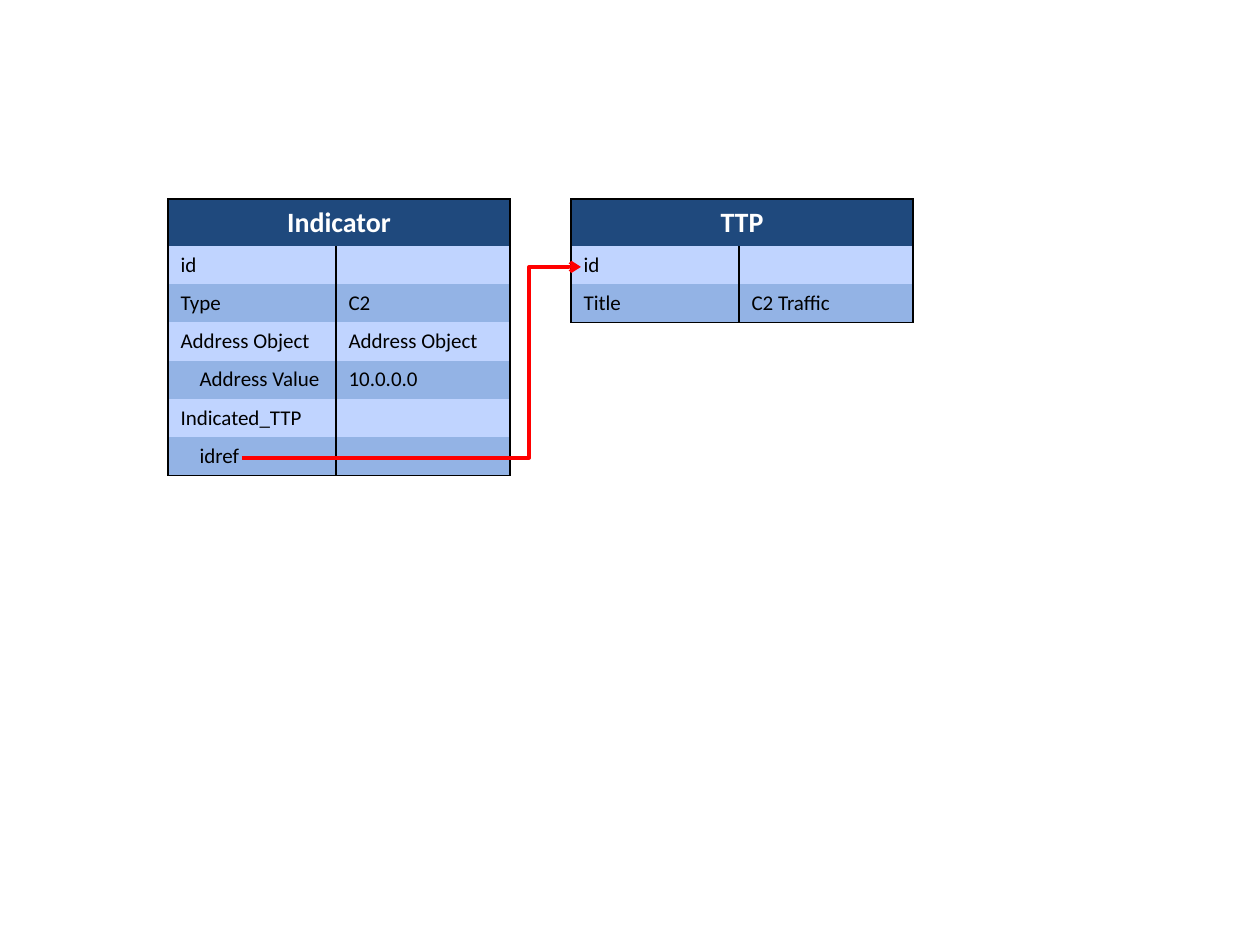
from lxml.etree import SubElement
from pptx import Presentation
from pptx.dml.color import RGBColor
from pptx.enum.shapes import MSO_CONNECTOR as CONNECTOR
from pptx.enum.text import PP_ALIGN as ALIGN
from pptx.oxml.ns import qn
from pptx.util import Emu, Pt

PX_PER_INCH = 126
HEADER_HEIGHT, ROW_HEIGHT = 47, 38
COLUMN_WIDTHS = (168, 174)
INDENT = 19
TABLE_TOP = 199
NAVY, LIGHT_BLUE, MID_BLUE = "1F497D", "C0D4FF", "93B3E5"
BLACK, WHITE, RED = "000000", "FFFFFF", "FF0000"

INDICATOR_ROWS = [
    ("id", "", 0),
    ("Type", "C2", 0),
    ("Address Object", "Address Object", 0),
    ("Address Value", "10.0.0.0", 1),
    ("Indicated_TTP", "", 0),
    ("idref", "", 1),
]
TTP_ROWS = [("id", "", 0), ("Title", "C2 Traffic", 0)]


def px(length):
    return Emu(round(length * 914400 / PX_PER_INCH))


def color(value):
    return RGBColor.from_string(value)


def write(frame, text, size=12, ink=BLACK, bold=False, align=ALIGN.LEFT, level=0):
    paragraph = frame.paragraphs[0]
    paragraph.alignment = align
    if level:
        paragraph._p.get_or_add_pPr().set("marL", str(px(INDENT * level)))
    font = paragraph.font
    if text:
        run = paragraph.add_run()
        run.text = text
        font = run.font
    font.name = "Calibri"
    font.size = Pt(size)
    font.bold = bold
    font.color.rgb = color(ink)


def style_cell(cell, fill, sides):
    """Fill the cell and rule only the named sides (letters of LRTB)."""
    properties = cell._tc.get_or_add_tcPr()
    for side in "LRTB":
        border = SubElement(properties, qn(f"a:ln{side}"), w=str(Pt(1)))
        if side in sides:
            solid = SubElement(border, qn("a:solidFill"))
            SubElement(solid, qn("a:srgbClr"), val=BLACK)
        else:
            SubElement(border, qn("a:noFill"))
    cell.fill.solid()
    cell.fill.fore_color.rgb = color(fill)


def add_entity(slide, left, title, rows):
    """Add a titled table of field names and values."""
    height = HEADER_HEIGHT + ROW_HEIGHT * len(rows)
    table = slide.shapes.add_table(
        len(rows) + 1, 2, px(left), px(TABLE_TOP), px(sum(COLUMN_WIDTHS)), px(height)
    ).table
    table.first_row = table.horz_banding = False
    for column, width in zip(table.columns, COLUMN_WIDTHS):
        column.width = px(width)
    for row in table.rows:
        row.height = px(ROW_HEIGHT)
    table.rows[0].height = px(HEADER_HEIGHT)

    header = table.cell(0, 0)
    header.merge(table.cell(0, 1))
    write(header.text_frame, title, size=16, ink=WHITE, bold=True, align=ALIGN.CENTER)
    for column in range(2):
        style_cell(table.cell(0, column), NAVY, "LRT")

    for index, (name, value, level) in enumerate(rows, start=1):
        fill = LIGHT_BLUE if index % 2 else MID_BLUE
        sides = "LRB" if index == len(rows) else "LR"
        for column, (text, depth) in enumerate([(name, level), (value, 0)]):
            cell = table.cell(index, column)
            write(cell.text_frame, text, level=depth)
            style_cell(cell, fill, sides)


def add_reference(slide, start, end, bend_x):
    """Add an elbow arrow that turns at bend_x."""
    arrow = slide.shapes.add_connector(CONNECTOR.ELBOW, *map(px, start + end))
    arrow.line.color.rgb = color(RED)
    arrow.line.width = Pt(2)
    SubElement(arrow.line._get_or_add_ln(), qn("a:tailEnd"), type="arrow")
    properties = arrow._element.spPr
    SubElement(properties, qn("a:effectLst"))
    bend = round((bend_x - start[0]) / (end[0] - start[0]) * 100000)
    adjustments = properties.find(qn("a:prstGeom")).get_or_add_avLst()
    SubElement(adjustments, qn("a:gd"), name="adj1", fmla=f"val {bend}")


def main():
    deck = Presentation()
    deck.slide_width, deck.slide_height = px(1260), px(945)
    slide = deck.slides.add_slide(deck.slide_layouts[6])
    add_entity(slide, 168, "Indicator", INDICATOR_ROWS)
    add_entity(slide, 571, "TTP", TTP_ROWS)
    add_reference(slide, start=(242, 458), end=(581, 267), bend_x=529)
    deck.save("out.pptx")


if __name__ == "__main__":
    main()
